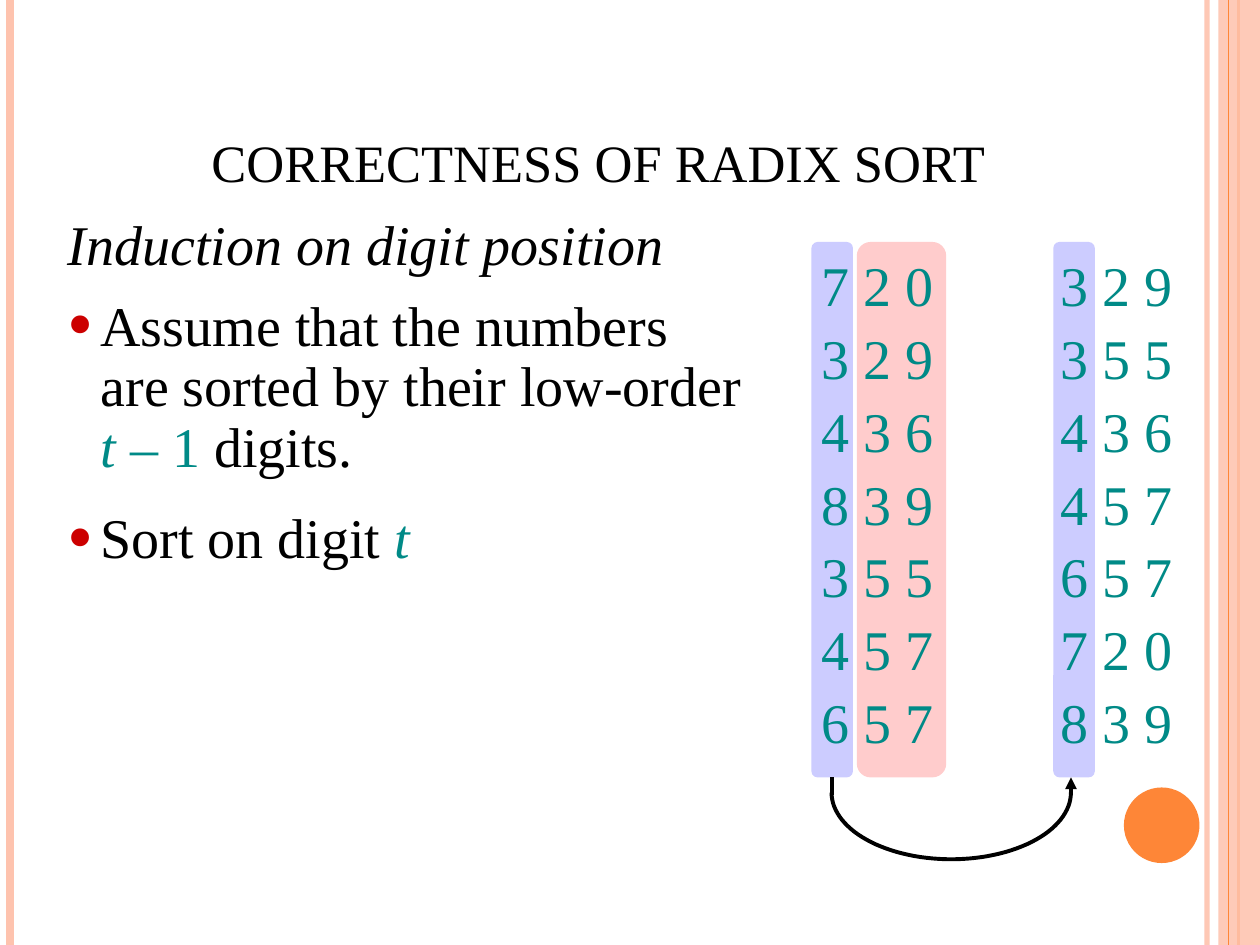
import math

import pptx
import pptx.dml.color
import pptx.enum.shapes
import pptx.enum.text
import pptx.oxml
import pptx.oxml.ns
import pptx.util

Inches = pptx.util.Inches
Pt = pptx.util.Pt
SHAPES = pptx.enum.shapes.MSO_SHAPE
ALIGN = pptx.enum.text.PP_ALIGN
FONT = "Times New Roman"
COLORS = {
    "text": "000000", "teal": "008A87", "bullet": "CC0000",
    "peach": "FEC3AE", "orange": "FE8637",
    "active": "CCCCFF", "sorted": "FFCCCC",
}

# Runs are (text, colour, italic); paragraphs are (has bullet, runs).
TITLE = [(False, [("CORRECTNESS OF RADIX SORT", "text", False)])]
INDUCTION = [
    (False, [("Induction on digit position", "text", True)]),
    (True, [("Assume that the numbers are sorted by their low-order ", "text", False),
            ("t ", "teal", True), ("– 1", "teal", False), (" digits.", "text", False)]),
]
SORT_STEP = [(True, [("Sort on digit ", "text", False), ("t", "teal", True)])]
NUMBER_COLUMNS = [
    (6.42, ["720", "329", "436", "839", "355", "457", "657"]),
    (8.32, ["329", "355", "436", "457", "657", "720", "839"]),
]
ROW_TOP, ROW_PITCH = 1.94, 0.578
# Left, width, colour, corner radius
STRIPS = [(6.44, 0.33, "active", 0.05), (8.36, 0.33, "active", 0.05),
          (6.8, 0.71, "sorted", 0.11)]
STRIP_TOP, STRIP_HEIGHT = 1.92, 4.25
# x, colour, width in points, opacity in percent
RULES_BEHIND = [(9.58, "peach", 3, 91), (0.08, "peach", 4.5, 100), (9.83, "orange", 1.5, 100)]
RULES_FRONT = [(9.75, "orange", 0.75, 100)]
ARROW_LEFT, ARROW_RIGHT, ARC_TOP, ARC_DEPTH = 6.6, 8.5, 6.29, 0.53

presentation = pptx.Presentation()
presentation.slide_width, presentation.slide_height = Inches(10), Inches(7.5)
slide = presentation.slides.add_slide(presentation.slide_layouts[6])


def rgb(name):
    return pptx.dml.color.RGBColor.from_string(COLORS[name])


def add_child(parent, tag, **attributes):
    child = pptx.oxml.parse_xml(f"<a:{tag} {pptx.oxml.ns.nsdecls('a')}/>")
    for key, value in attributes.items():
        child.set(key, str(value))
    parent.append(child)


def set_opacity(shape, percent):
    color = shape._element.spPr.find(".//" + pptx.oxml.ns.qn("a:srgbClr"))
    add_child(color, "alpha", val=percent * 1000)


def add_line(start, end, color="text", width=2.25, opacity=100, arrow=False):
    line = slide.shapes.add_connector(
        pptx.enum.shapes.MSO_CONNECTOR.STRAIGHT, *map(Inches, start + end))
    line.line.color.rgb, line.line.width = rgb(color), Pt(width)
    if opacity < 100:
        set_opacity(line, opacity)
    if arrow:
        add_child(line.line._get_or_add_ln(), "tailEnd", type="triangle")
    add_child(line._element.spPr, "effectLst")


def add_rules(rules):
    for x, color, width, opacity in rules:
        add_line((x, 0), (x, 7.5), color, width, opacity)


def add_filled(kind, box, color):
    shape = slide.shapes.add_shape(kind, *map(Inches, box))
    shape.shadow.inherit = False
    shape.fill.solid()
    shape.fill.fore_color.rgb = rgb(color)
    shape.line.fill.background()
    return shape


def add_text(box, paragraphs, size=32, align=ALIGN.LEFT, wrap=True, hanging=False, bottom=False):
    frame = slide.shapes.add_textbox(*map(Inches, box)).text_frame
    frame.word_wrap = wrap
    if bottom:
        frame.vertical_anchor = pptx.enum.text.MSO_ANCHOR.BOTTOM
    else:
        frame.auto_size = pptx.enum.text.MSO_AUTO_SIZE.SHAPE_TO_FIT_TEXT
    for index, (bullet, runs) in enumerate(paragraphs):
        paragraph = frame.add_paragraph() if index else frame.paragraphs[0]
        paragraph.alignment = align
        if hanging:
            paragraph.line_spacing, paragraph.space_before = 0.9, Pt(11.9)
            properties = paragraph._p.get_or_add_pPr()
            properties.set("marL", str(Inches(0.26)))
            properties.set("indent", str(-Inches(0.26)))
            if bullet:
                add_child(properties, "buClr")
                add_child(properties[-1], "srgbClr", val=COLORS["bullet"])
                add_child(properties, "buSzPct", val=133000)
                add_child(properties, "buFont", typeface=FONT)
                add_child(properties, "buChar", char="•")
        for text, color, italic in runs:
            run = paragraph.add_run()
            run.text = text
            run.font.name, run.font.size = FONT, Pt(size)
            run.font.color.rgb, run.font.italic = rgb(color), italic


# Side decoration
add_rules(RULES_BEHIND)
set_opacity(add_filled(SHAPES.RECTANGLE, (9.67, 0, 0.33, 7.5), "peach"), 87)
add_rules(RULES_FRONT)
add_filled(SHAPES.OVAL, (8.92, 6.25, 0.6, 0.6), "orange")

# Highlighted digit positions
for left, width, color, radius in STRIPS:
    strip = add_filled(SHAPES.ROUNDED_RECTANGLE, (left, STRIP_TOP, width, STRIP_HEIGHT), color)
    strip.adjustments[0] = radius / width

# Title, argument and numbers
add_text((1.58, 0.33, 8.25, 1.25), TITLE, size=30, bottom=True)
add_text((0.44, 1.67, 5.57, 2.19), INDUCTION, hanging=True)
add_text((0.44, 4, 5.57, 0.58), SORT_STEP, hanging=True)
for left, numbers in NUMBER_COLUMNS:
    for row, number in enumerate(numbers):
        add_text((left, ROW_TOP + row * ROW_PITCH, 1.09, 0.64),
                 [(False, [(" ".join(number), "teal", False)])], align=ALIGN.CENTER, wrap=False)

# Curved arrow from the unsorted digit to the sorted one
strip_bottom = STRIP_TOP + STRIP_HEIGHT
radius_x = (ARROW_RIGHT - ARROW_LEFT) / 2
angles = [math.pi * step / 60 for step in range(61)]
arc_points = [(Inches(ARROW_LEFT + radius_x * (1 - math.cos(angle))),
               Inches(ARC_TOP + ARC_DEPTH * math.sin(angle))) for angle in angles]
builder = slide.shapes.build_freeform(*arc_points[0])
builder.add_line_segments(arc_points[1:], close=False)
arc = builder.convert_to_shape()
arc.shadow.inherit = False
arc.fill.background()
arc.line.color.rgb, arc.line.width = rgb("text"), Pt(2.25)
add_line((ARROW_RIGHT, ARC_TOP + 0.02), (ARROW_RIGHT, strip_bottom), arrow=True)
add_line((ARROW_LEFT, ARC_TOP + 0.02), (ARROW_LEFT, strip_bottom))

presentation.save("out.pptx")
